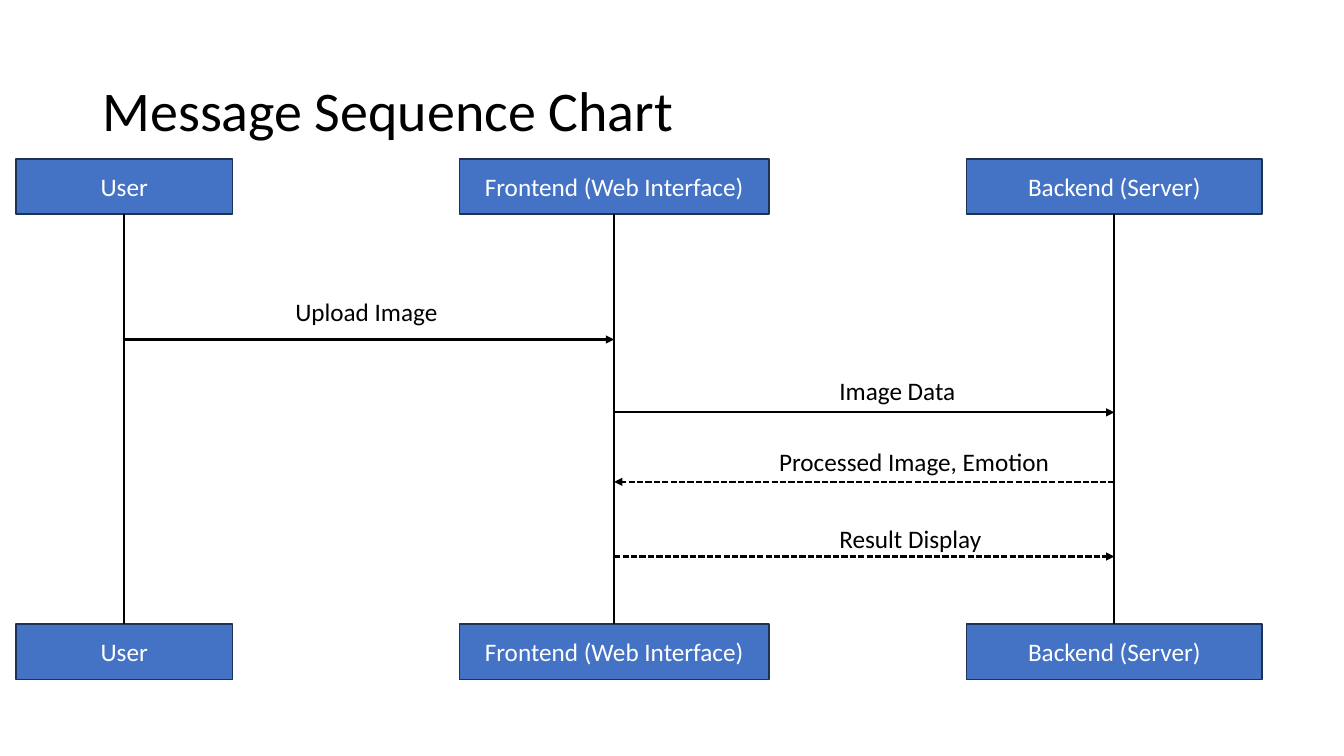
"""Build a message sequence chart slide for an image upload service."""
from dataclasses import dataclass

from lxml.etree import SubElement
from pptx import Presentation
from pptx.dml.color import RGBColor
from pptx.enum.dml import MSO_LINE
from pptx.enum.shapes import MSO_CONNECTOR, MSO_SHAPE
from pptx.enum.text import MSO_ANCHOR, MSO_AUTO_SIZE, PP_ALIGN
from pptx.oxml.ns import qn
from pptx.util import Pt


@dataclass(frozen=True)
class Theme:
    font: str = "Calibri"
    title_size: float = 40
    text_size: float = 18
    text: RGBColor = RGBColor(0x00, 0x00, 0x00)
    background: RGBColor = RGBColor(0xFF, 0xFF, 0xFF)
    box_fill: RGBColor = RGBColor(0x44, 0x72, 0xC4)
    box_line: RGBColor = RGBColor(0x1E, 0x32, 0x56)
    box_text: RGBColor = RGBColor(0xFF, 0xFF, 0xFF)
    box_line_width: float = 1
    line_width: float = 1.5


class SequenceChart:
    def __init__(self, slide, theme):
        self.slide = slide
        self.theme = theme
        slide.background.fill.solid()
        slide.background.fill.fore_color.rgb = theme.background

    def set_text(self, shape, text, size, color, alignment=PP_ALIGN.LEFT):
        shape.text_frame.text = text
        paragraph = shape.text_frame.paragraphs[0]
        paragraph.alignment = alignment
        font = paragraph.runs[0].font
        font.name = self.theme.font
        font.size = Pt(size)
        font.color.rgb = color
        return paragraph

    def title(self, text, left, top, width, height):
        shape = self.slide.shapes.title
        shape.left, shape.top = Pt(left), Pt(top)
        shape.width, shape.height = Pt(width), Pt(height)
        paragraph = self.set_text(shape, text, self.theme.title_size, self.theme.text)
        paragraph.line_spacing = 0.9
        shape.text_frame.vertical_anchor = MSO_ANCHOR.MIDDLE

    def participant(self, name, center, top, width, height):
        shape = self.slide.shapes.add_shape(
            MSO_SHAPE.RECTANGLE, Pt(center - width / 2), Pt(top), Pt(width), Pt(height))
        shape.shadow.inherit = False
        shape.fill.solid()
        shape.fill.fore_color.rgb = self.theme.box_fill
        shape.line.color.rgb = self.theme.box_line
        shape.line.width = Pt(self.theme.box_line_width)
        shape.text_frame.vertical_anchor = MSO_ANCHOR.MIDDLE
        self.set_text(shape, name, self.theme.text_size, self.theme.box_text, PP_ALIGN.CENTER)

    def line(self, start_x, start_y, end_x, end_y):
        connector = self.slide.shapes.add_connector(
            MSO_CONNECTOR.STRAIGHT, Pt(start_x), Pt(start_y), Pt(end_x), Pt(end_y))
        connector.line.color.rgb = self.theme.text
        connector.line.width = Pt(self.theme.line_width)
        SubElement(connector._element.spPr, qn("a:effectLst"))
        return connector

    def arrow(self, start_x, end_x, y, dashed):
        connector = self.line(start_x, y, end_x, y)
        if dashed:
            connector.line.dash_style = MSO_LINE.SQUARE_DOT
        outline = connector._element.spPr.find(qn("a:ln"))
        SubElement(outline, qn("a:tailEnd"), type="triangle")

    def label(self, text, left, top, width, height, wrap):
        shape = self.slide.shapes.add_textbox(Pt(left), Pt(top), Pt(width), Pt(height))
        shape.text_frame.word_wrap = wrap
        shape.text_frame.auto_size = MSO_AUTO_SIZE.SHAPE_TO_FIT_TEXT
        self.set_text(shape, text, self.theme.text_size, self.theme.text)


def main():
    presentation = Presentation()
    presentation.slide_width, presentation.slide_height = Pt(960), Pt(540)
    slide = presentation.slides.add_slide(presentation.slide_layouts[5])
    chart = SequenceChart(slide, Theme())
    chart.title("Message Sequence Chart", 66, 28.75, 828, 104.4)

    box_height, head_top, foot_top = 39.5, 113.5, 445.7
    user, frontend, backend = 88.7, 438.7, 796
    participants = [
        ("User", user, 154.4),
        ("Frontend (Web Interface)", frontend, 221.2),
        ("Backend (Server)", backend, 211),
    ]
    for name, center, width in participants:
        for top in (head_top, foot_top):
            chart.participant(name, center, top, width, box_height)
        chart.line(center, head_top + box_height, center, foot_top)

    label_height = 29
    messages = [
        ("Upload Image", user, frontend, 242.5, False, 203.8, 208.1, 138.2, True),
        ("Image Data", frontend, backend, 294.6, False, 592.5, 264.2, 98.6, False),
        ("Processed Image, Emotion", backend, frontend, 344.2, True, 549.4, 315.4, 209.5, False),
        ("Result Display", frontend, backend, 397.5, True, 592.5, 370.1, 117.4, False),
    ]
    for text, start, end, y, dashed, left, top, width, wrap in messages:
        chart.arrow(start, end, y, dashed)
        chart.label(text, left, top, width, label_height, wrap)

    presentation.save("out.pptx")


if __name__ == "__main__":
    main()
